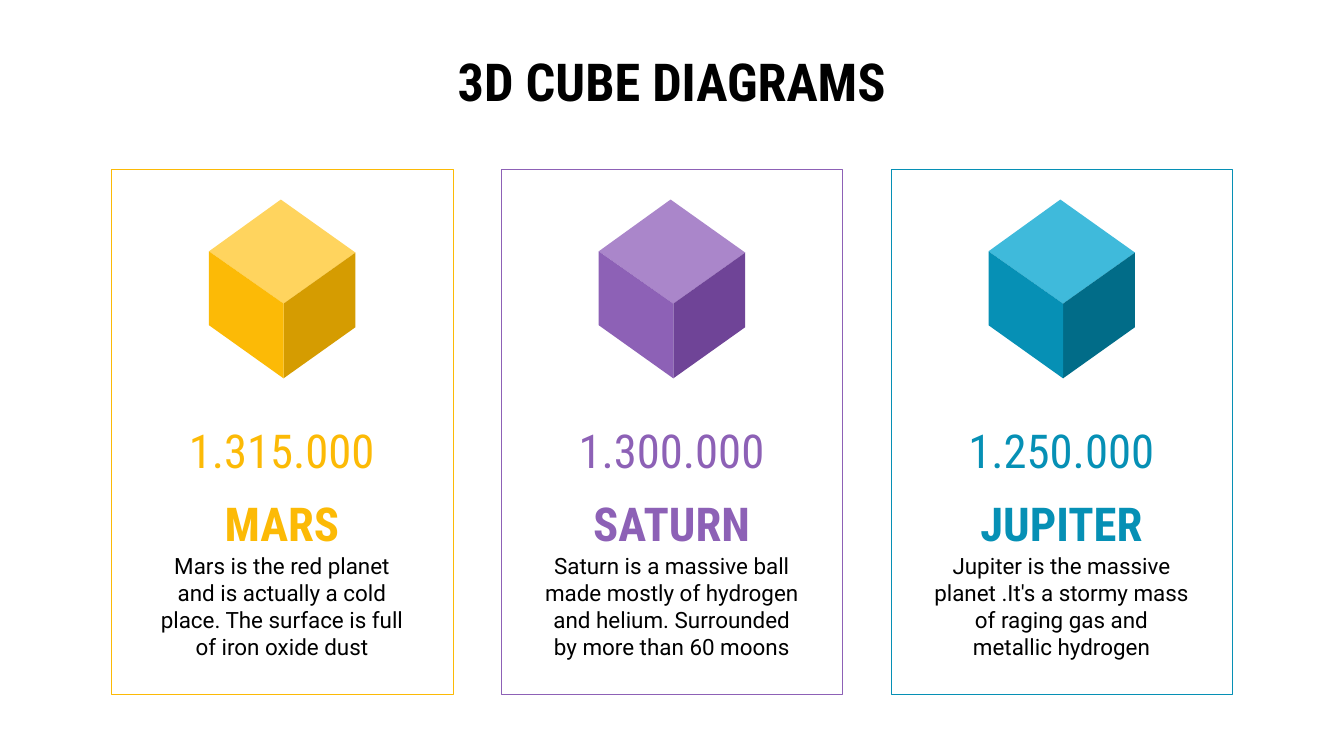
"""Build a slide with three planet cards, each topped by an isometric cube."""
import pptx
import pptx.dml.color
import pptx.enum.shapes
import pptx.enum.text
import pptx.util

Pt = pptx.util.Pt

TITLE = "3D CUBE DIAGRAMS"
CARDS = [
    {"name": "MARS", "figure": "1.315.000",
     "about": "Mars is the red planet and is actually a cold place. "
              "The surface is full of iron oxide dust",
     "top": "FFD45E", "right": "D59C01", "left": "FCBA06"},
    {"name": "SATURN", "figure": "1.300.000",
     "about": "Saturn is a massive ball made mostly of hydrogen and helium. "
              "Surrounded by more than 60 moons",
     "top": "AA86CA", "right": "6F4497", "left": "8D61B6"},
    {"name": "JUPITER", "figure": "1.250.000",
     "about": "Jupiter is the massive planet .It's a stormy mass "
              "of raging gas and metallic hydrogen",
     "top": "3FBADB", "right": "016C88", "left": "0690B5"},
]

CARD_LEFT, CARD_TOP, CARD_WIDTH, CARD_HEIGHT = 119.5, 181.4, 365.8, 562.3
CARD_PITCH = 417.6
TEXT_INSET, TEXT_WIDTH = 31, 303.1

BACK, WEST, EAST, FRONT = (181.4, 32.4), (104.4, 87.9), (261.4, 89.3), (184.3, 144)
WEST_FOOT, EAST_FOOT, FRONT_FOOT = (104.4, 167.1), (261.4, 169.2), (184.3, 224)
CUBE_FACES = {
    "top": [BACK, WEST, FRONT, EAST],
    "right": [EAST, FRONT, FRONT_FOOT, EAST_FOOT],
    "left": [WEST, WEST_FOOT, FRONT_FOOT, FRONT],
}


def color(value):
    return pptx.dml.color.RGBColor.from_string(value)


def add_text(page, text, left, top, width, height, size, font="Roboto Condensed",
             fill="000000", bold=False, line_spacing=None, space_after=None):
    box = page.shapes.add_textbox(Pt(left), Pt(top), Pt(width), Pt(height))
    frame = box.text_frame
    frame.word_wrap = True
    frame.vertical_anchor = pptx.enum.text.MSO_ANCHOR.TOP
    frame.margin_left = frame.margin_right = Pt(14.4)
    frame.margin_top = frame.margin_bottom = Pt(14.4)
    para = frame.paragraphs[0]
    para.alignment = pptx.enum.text.PP_ALIGN.CENTER
    if line_spacing:
        para.line_spacing = line_spacing
    if space_after:
        para.space_after = Pt(space_after)
    span = para.add_run()
    span.text = text
    span.font.name = font
    span.font.size = Pt(size)
    span.font.bold = bold
    span.font.color.rgb = color(fill)


def add_frame(page, left, line):
    frame = page.shapes.add_shape(
        pptx.enum.shapes.MSO_SHAPE.RECTANGLE,
        Pt(left), Pt(CARD_TOP), Pt(CARD_WIDTH), Pt(CARD_HEIGHT))
    frame.shadow.inherit = False
    frame.fill.background()
    frame.line.color.rgb = color(line)
    frame.line.width = Pt(0.75)


def add_cube(page, left, card):
    cube = page.shapes.add_group_shape()
    for face, corners in CUBE_FACES.items():
        points = [(Pt(left + x), Pt(CARD_TOP + y)) for x, y in corners]
        builder = cube.shapes.build_freeform(*points[0])
        builder.add_line_segments(points[1:], close=True)
        shape = builder.convert_to_shape()
        shape.shadow.inherit = False
        shape.fill.solid()
        shape.fill.fore_color.rgb = color(card[face])
        shape.line.fill.background()


def add_card(page, left, card):
    add_frame(page, left, card["left"])
    add_cube(page, left, card)
    text_left = left + TEXT_INSET
    for key, top, bold in [("figure", 428.4, False), ("name", 506.9, True)]:
        add_text(page, card[key], text_left, top, TEXT_WIDTH, 82.8, size=50,
                 fill=card["left"], bold=bold, line_spacing=1.15, space_after=32)
    add_text(page, card["about"], text_left, 577.4, TEXT_WIDTH, 130.3,
             size=24, font="Roboto")


def main():
    deck = pptx.Presentation()
    deck.slide_width, deck.slide_height = Pt(1440), Pt(810)
    page = deck.slides.add_slide(deck.slide_layouts[6])
    add_text(page, TITLE, 72, 38.2, 1296, 90, size=56, bold=True)
    for index, card in enumerate(CARDS):
        add_card(page, CARD_LEFT + index * CARD_PITCH, card)
    deck.save("out.pptx")


if __name__ == "__main__":
    main()
